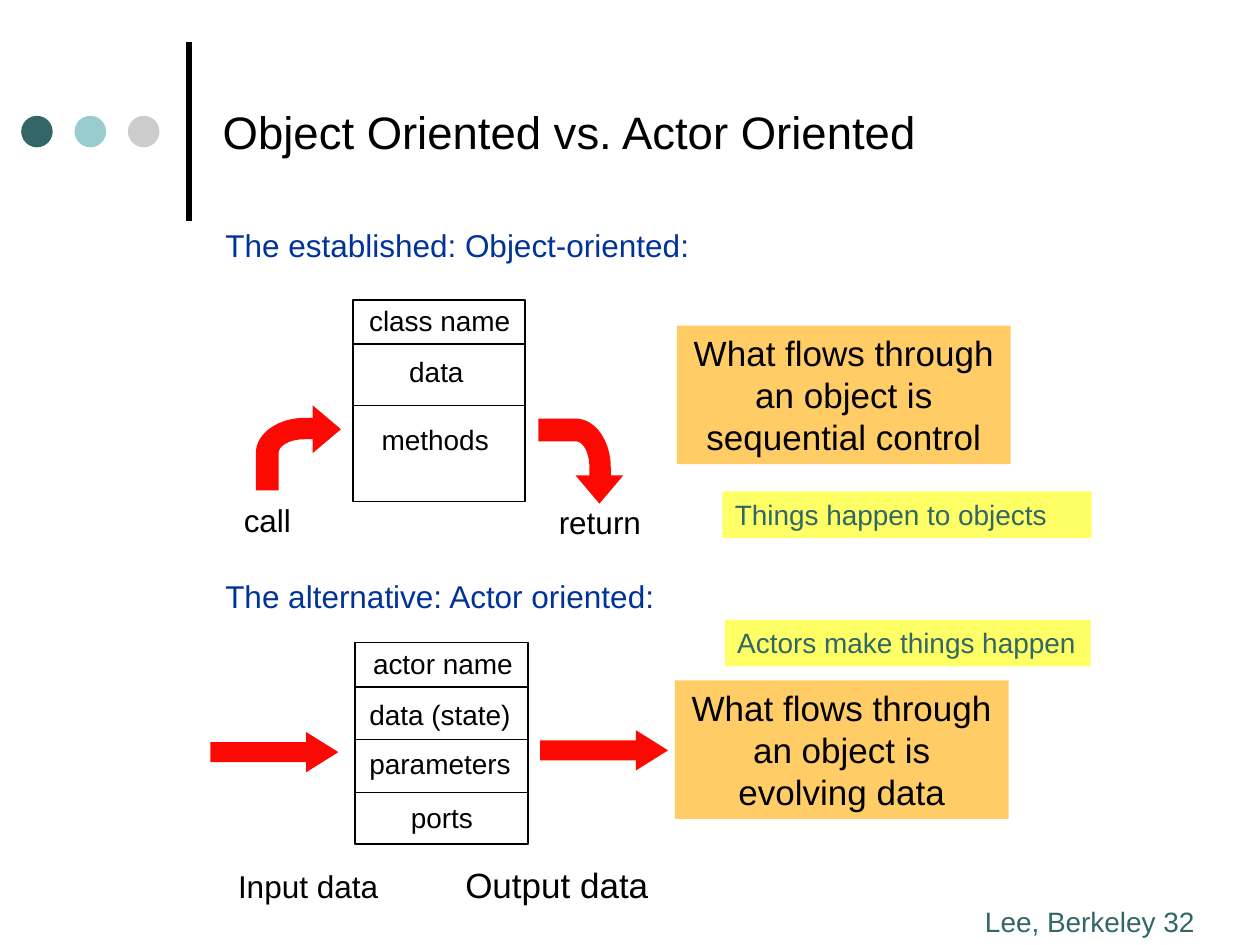
"""Build the slide comparing object-oriented and actor-oriented design."""
from lxml import etree
from pptx import Presentation
from pptx.dml.color import RGBColor
from pptx.enum.shapes import MSO_CONNECTOR, MSO_SHAPE
from pptx.enum.text import MSO_ANCHOR, MSO_AUTO_SIZE, PP_ALIGN
from pptx.oxml.ns import qn
from pptx.util import Pt

LEFT, CENTER = PP_ALIGN.LEFT, PP_ALIGN.CENTER
TOP, MIDDLE = MSO_ANCHOR.TOP, MSO_ANCHOR.MIDDLE
FIT, FIXED = MSO_AUTO_SIZE.SHAPE_TO_FIT_TEXT, MSO_AUTO_SIZE.NONE
RECT, OVAL, ARROW = MSO_SHAPE.RECTANGLE, MSO_SHAPE.OVAL, MSO_SHAPE.RIGHT_ARROW
STRAIGHT = MSO_CONNECTOR.STRAIGHT
BLACK = RGBColor(0x00, 0x00, 0x00)
TEAL = RGBColor(0x33, 0x66, 0x66)
AQUA = RGBColor(0x99, 0xCC, 0xCC)
GRAY = RGBColor(0xCC, 0xCC, 0xCC)
NAVY = RGBColor(0x00, 0x33, 0x99)
RED = RGBColor(0xFD, 0x09, 0x03)
ORANGE = RGBColor(0xFF, 0xCC, 0x66)
YELLOW = RGBColor(0xFF, 0xFF, 0x66)
FONT = "Arial"

TITLE = ("Object Oriented vs. Actor Oriented", (120.2, 15.1, 581.8, 120.2))
FOOTER = ("Lee, Berkeley 32", (555.8, 513.4, 134.6, 26.6))
HEADINGS = [
    ("The established: Object-oriented:", (121.7, 125.6, 279.4, 28.8)),
    ("The alternative: Actor oriented:", (121.7, 326.2, 260, 28.8)),
]
DOTS = [TEAL, AQUA, GRAY]
BOXES = [
    {"box": (201.6, 171.4, 98.6, 115.2), "dividers": [196.6, 231.8],
     "labels": [("class name", 251.3, 169.9), ("data", 249.4, 198.9),
                ("methods", 248.7, 238.1)]},
    {"box": (203, 367.2, 98.6, 115.2), "dividers": [392.4, 422.6, 452.9],
     "labels": [("actor name", 253.1, 365.8), ("data (state)", 251.5, 394.8),
                ("parameters", 251.5, 423.2), ("ports", 252.5, 453.8)]},
]
CAPTIONS = [
    ("call", (127.8, 282.6, 50, 28.8), 18),
    ("return", (311.8, 283.7, 62, 28.8), 18),
    ("Input data", (128.9, 491.8, 94.3, 28.8), 18),
    ("Output data", (258.5, 489.9, 119.5, 31.7), 20),
]
NOTES = [
    ("What flows through an object is sequential control",
     (386.8, 186.1, 190.8, 79.2), ORANGE, BLACK, 20, CENTER),
    ("What flows through an object is evolving data",
     (385.6, 388.8, 190.8, 79.2), ORANGE, BLACK, 20, CENTER),
    ("Things happen to objects",
     (412.8, 280.8, 211, 26.6), YELLOW, TEAL, 16, LEFT),
    ("Actors make things happen",
     (414.2, 354.2, 209, 26.6), YELLOW, TEAL, 16, LEFT),
]
FLOW_ARROWS = [(120.2, 418.3, 73.2, 23), (308.6, 417.3, 73.2, 23)]
BENT_ARROWS = [(146.2, 231.6, 0), (307.6, 239.2, 90)]
OUTER_BEND = [(0, 27.4), (0, 15.8), (13, 7.2), (28, 7.2)]
HEAD = [(32.4, 7.2), (32.4, 0), (48.6, 13.7), (32.4, 27.4), (32.4, 19.4)]
INNER_BEND = [(28, 19.4), (19.4, 19.4), (13, 23), (13, 27.4)]

prs = Presentation()
prs.slide_width, prs.slide_height = Pt(720), Pt(540)
shapes = prs.slides.add_slide(prs.slide_layouts[6]).shapes


def paint(sp, fill=None, line=None):
    sp.shadow.inherit = False
    if fill is None:
        sp.fill.background()
    else:
        sp.fill.solid()
        sp.fill.fore_color.rgb = fill
    if line is None:
        sp.line.fill.background()
    else:
        sp.line.color.rgb = line
        sp.line.width = Pt(1)


def add_shape(kind, box, fill=None, line=None):
    sp = shapes.add_shape(kind, *map(Pt, box))
    paint(sp, fill, line)
    return sp


def add_text(text, box, size=16, color=BLACK, align=LEFT, anchor=TOP,
             wrap=False, fill=None):
    sp = add_shape(RECT, box, fill) if fill else shapes.add_textbox(*map(Pt, box))
    tf = sp.text_frame
    tf.word_wrap = wrap
    tf.auto_size = FIXED if wrap else FIT
    tf.vertical_anchor = anchor
    p = tf.paragraphs[0]
    p.alignment = align
    r = p.add_run()
    r.text = text
    r.font.name, r.font.size = FONT, Pt(size)
    r.font.color.rgb = color


def add_line(x1, y1, x2, y2, width=1):
    ln = shapes.add_connector(STRAIGHT, *map(Pt, (x1, y1, x2, y2)))
    ln.line.color.rgb = BLACK
    ln.line.width = Pt(width)
    etree.SubElement(ln._element.spPr, qn("a:effectLst"))


def bezier(points, steps=16):
    weights = (1, 3, 3, 1)
    return [tuple(sum(w * (1 - t) ** (3 - i) * t ** i * pt[axis]
                      for i, (w, pt) in enumerate(zip(weights, points)))
                  for axis in (0, 1))
            for t in (n / steps for n in range(steps + 1))]


def add_bent_arrow(left, top, rotation):
    outline = ([(0, 48.6)] + bezier(OUTER_BEND) + HEAD
               + bezier(INNER_BEND) + [(13, 48.6)])
    points = [(Pt(left + x), Pt(top + y)) for x, y in outline]
    builder = shapes.build_freeform(*points[0])
    builder.add_line_segments(points[1:], close=True)
    sp = builder.convert_to_shape()
    sp.rotation = rotation
    paint(sp, RED)


add_line(108, 126, 108, 23.8, width=3)
for i, color in enumerate(DOTS):
    add_shape(OVAL, (12.1 + 30.5 * i, 66.2, 18, 18), color)
add_text(*TITLE, size=26, anchor=MIDDLE, wrap=True)
add_text(*FOOTER, color=TEAL)
for text, box in HEADINGS:
    add_text(text, box, size=18, color=NAVY)

for item in BOXES:
    left, top, width, height = item["box"]
    add_shape(RECT, item["box"], line=BLACK)
    for y in item["dividers"]:
        add_line(left, y, left + width, y)
    for text, mid, y in item["labels"]:
        add_text(text, (mid - 50, y, 100, 26.6), align=CENTER)

for box in FLOW_ARROWS:
    sp = add_shape(ARROW, box, RED)
    sp.adjustments[0], sp.adjustments[1] = 0.5, 0.8
for spot in BENT_ARROWS:
    add_bent_arrow(*spot)
for text, box, size in CAPTIONS:
    add_text(text, box, size=size, align=CENTER)
for text, box, fill, color, size, align in NOTES:
    add_text(text, box, size=size, color=color, align=align, wrap=True, fill=fill)

prs.save("out.pptx")
